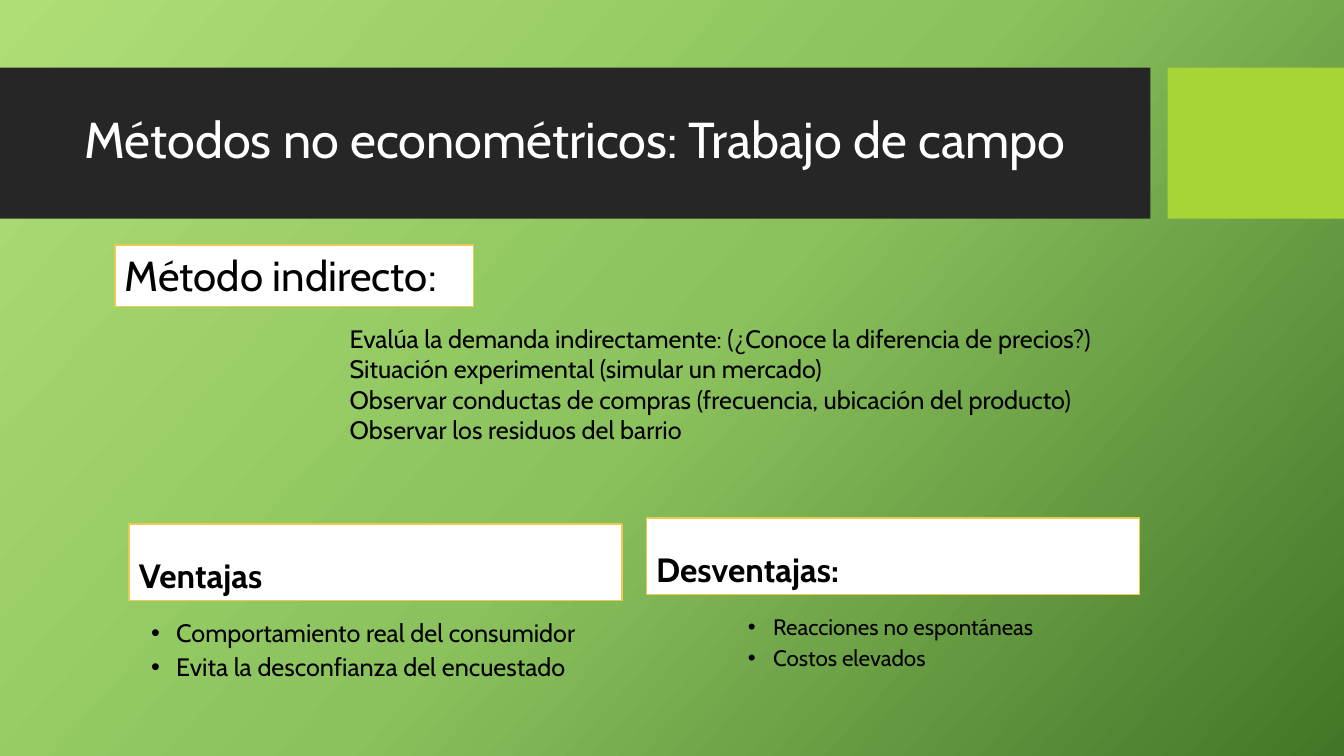
from copy import deepcopy
from lxml.etree import SubElement
from pptx import Presentation
from pptx.dml.color import RGBColor
from pptx.enum.shapes import MSO_SHAPE
from pptx.enum.text import MSO_ANCHOR, PP_ALIGN
from pptx.oxml.ns import qn
from pptx.util import Inches, Pt

# Content
TITLE = "Métodos no econométricos: Trabajo de campo"
METHOD = "Método indirecto:"
METHOD_POINTS = [
    "Evalúa la demanda indirectamente: (¿Conoce la diferencia de precios?)",
    "Situación experimental (simular un mercado)",
    "Observar conductas de compras (frecuencia, ubicación del producto)",
    "Observar los residuos del barrio",
]
COLUMNS = [
    {"heading": "Ventajas", "left": 1.28, "top": 5.2,
     "points": ["Comportamiento real del consumidor",
                "Evita la desconfianza del encuestado"],
     "list_at": (0.9, 6.11, 5.14, 0.79), "size": 18, "indent": 0.75},
    {"heading": "Desventajas:", "left": 6.41, "top": 5.14,
     "points": ["Reacciones no espontáneas", "Costos elevados"],
     "list_at": (6.32, 6.06, 5.14, 0.96), "size": 16, "indent": 1.25},
]

# Style
FONT = "Cabin"
COLORS = {"band": "262626", "accent": "A7D535", "white": "FFFFFF",
          "border": "EACA4F", "black": "000000"}
BACKGROUND = [(0, "AFDE77"), (0.5, "8BC25D"), (1, "437528")]
BACKGROUND_ANGLE = 42

# Layout
WIDTH, HEIGHT = 13.33, 7.5
BAND_TOP, BAND_HEIGHT = 0.67, 1.5
BAND_WIDTH, BAND_GAP = 11.41, 0.17
ACCENT_LEFT = BAND_WIDTH + BAND_GAP
HEADING_SIZE = (4.89, 0.76)

deck = Presentation()
deck.slide_width, deck.slide_height = Inches(WIDTH), Inches(HEIGHT)
page = deck.slides.add_slide(deck.slide_layouts[6])


def paint_background():
    fill = page.background.fill
    fill.gradient()
    fill.gradient_angle = 360 - BACKGROUND_ANGLE
    stop_list = page.element.find(".//" + qn("a:gsLst"))
    stop_list.append(deepcopy(stop_list[0]))
    for stop, (position, color) in zip(fill.gradient_stops, BACKGROUND):
        stop.position = position
        stop.color.rgb = RGBColor.from_string(color)


def add_box(at, fill, border=None):
    box = page.shapes.add_shape(MSO_SHAPE.RECTANGLE, *map(Inches, at))
    box.shadow.inherit = False
    box.fill.solid()
    box.fill.fore_color.rgb = RGBColor.from_string(COLORS[fill])
    if border:
        box.line.color.rgb = RGBColor.from_string(COLORS[border])
        box.line.width = Pt(1)
    else:
        box.line.fill.background()
    return box


def write(box, lines, size, color="black", bold=False, anchor=MSO_ANCHOR.TOP,
          spacing=1.0, before=0, indent=0, bullet=False):
    frame = box.text_frame
    frame.word_wrap = True
    frame.vertical_anchor = anchor
    for number, line in enumerate(lines):
        para = frame.add_paragraph() if number else frame.paragraphs[0]
        para.alignment = PP_ALIGN.LEFT
        para.line_spacing = spacing
        para.space_before = Pt(before)
        settings = para._p.get_or_add_pPr()
        settings.set("marL", str(Inches(indent)))
        settings.set("indent", str(Inches(-0.25 if bullet else 0)))
        if bullet:
            SubElement(settings, qn("a:buFont")).set("typeface", "Arial")
            SubElement(settings, qn("a:buChar")).set("char", "•")
        span = para.add_run()
        span.text = line
        span.font.name, span.font.size, span.font.bold = FONT, Pt(size), bold
        span.font.color.rgb = RGBColor.from_string(COLORS[color])


def add_text(at, lines, size, **style):
    write(page.shapes.add_textbox(*map(Inches, at)), lines, size, **style)


# Background and title band
paint_background()
add_box((0, BAND_TOP, BAND_WIDTH, BAND_HEIGHT), "band")
add_box((ACCENT_LEFT, BAND_TOP, WIDTH - ACCENT_LEFT, BAND_HEIGHT), "accent")
add_text((0.74, 0.82, 10.51, 1.18), [TITLE], 36, color="white",
         anchor=MSO_ANCHOR.MIDDLE, spacing=0.9)

# Advantages and disadvantages
for column in COLUMNS:
    heading = add_box((column["left"], column["top"], *HEADING_SIZE), "white", "border")
    write(heading, [column["heading"]], 24, bold=True,
          anchor=MSO_ANCHOR.BOTTOM, spacing=0.9, before=10)
    add_text(column["list_at"], column["points"], column["size"], spacing=0.9,
             before=5, indent=column["indent"], bullet=True)

# Indirect method
add_text((2.37, 3.16, 9.27, 1.31), METHOD_POINTS, 18, indent=1)
write(add_box((1.14, 2.43, 3.56, 0.61), "white", "border"), [METHOD], 30)

deck.save("out.pptx")
